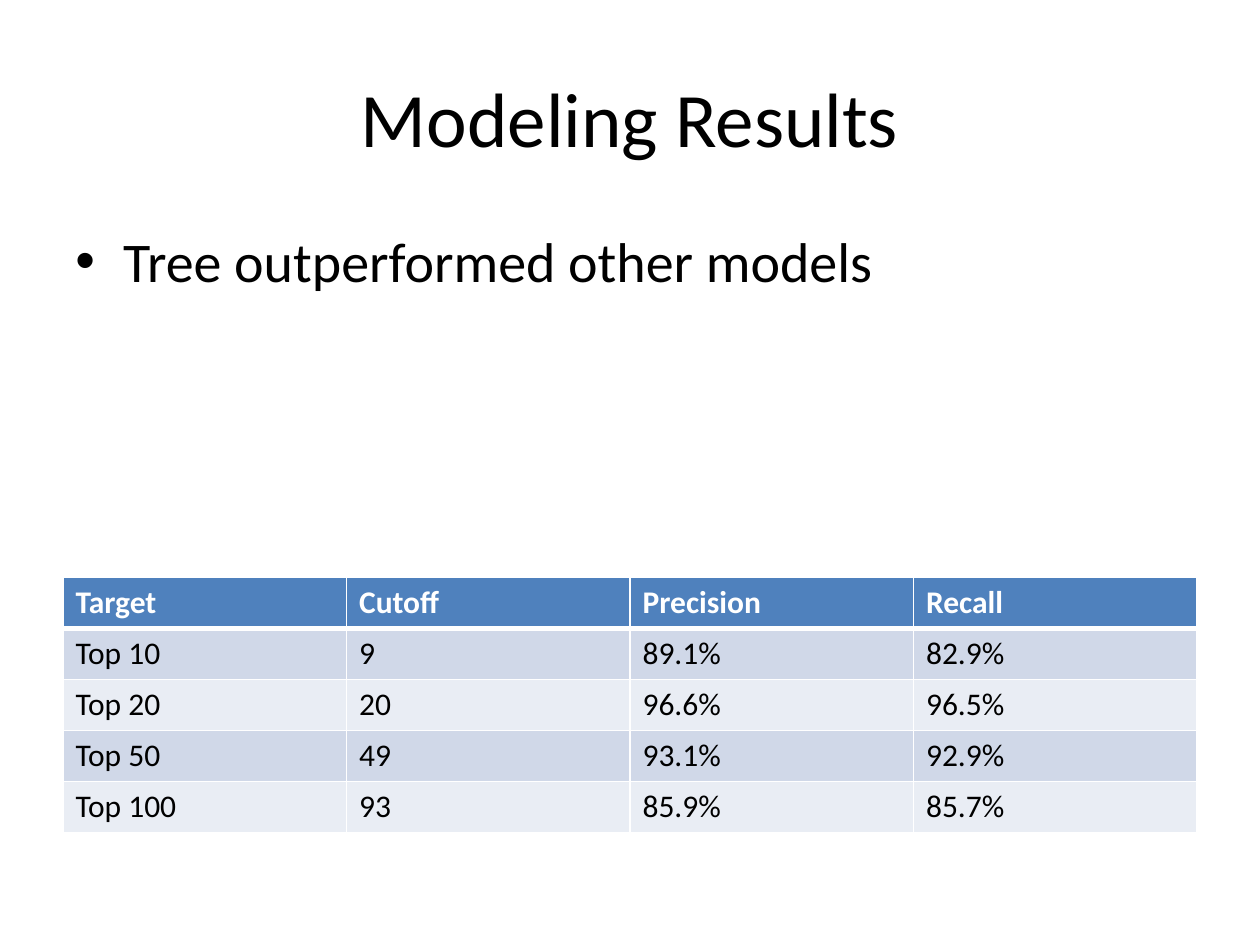
from lxml.etree import SubElement
from pptx import Presentation
from pptx.dml.color import RGBColor
from pptx.enum.text import MSO_ANCHOR, PP_ALIGN
from pptx.oxml.ns import qn
from pptx.util import Inches, Pt

TITLE = "Modeling Results"
BULLET = "Tree outperformed other models"
RESULTS = [
    ("Target", "Cutoff", "Precision", "Recall"),
    ("Top 10", "9", "89.1%", "82.9%"),
    ("Top 20", "20", "96.6%", "96.5%"),
    ("Top 50", "49", "93.1%", "92.9%"),
    ("Top 100", "93", "85.9%", "85.7%"),
]
COLORS = {
    "text": "000000",
    "white": "FFFFFF",
    "header": "4F81BD",
    "odd": "D0D8E8",
    "even": "E9EDF4",
}
WIDTH, HEIGHT = 10, 7.5
MARGIN = WIDTH * 0.05
CONTENT_WIDTH = WIDTH - 2 * MARGIN
TITLE_TOP, TITLE_HEIGHT = HEIGHT * 0.04, 1.25
BULLET_TOP, BULLET_HEIGHT = 1.75, 2.67
TABLE_TOP, TABLE_HEIGHT = 4.58, 2.03


def place(top, height):
    return [Inches(length) for length in (MARGIN, top, CONTENT_WIDTH, height)]


def write_text(frame, text, size, color="text", bold=False,
               align=PP_ALIGN.LEFT, anchor=MSO_ANCHOR.TOP):
    frame.word_wrap = True
    frame.vertical_anchor = anchor
    paragraph = frame.paragraphs[0]
    paragraph.alignment = align
    run = paragraph.add_run()
    run.text = text
    run.font.name = "Calibri"
    run.font.size = Pt(size)
    run.font.bold = bold
    run.font.color.rgb = RGBColor.from_string(COLORS[color])
    return paragraph


def add_bullet(paragraph, indent):
    properties = paragraph._p.get_or_add_pPr()
    properties.set("marL", str(Inches(indent)))
    properties.set("indent", str(-Inches(indent)))
    spacing = SubElement(properties, qn("a:spcBef"))
    SubElement(spacing, qn("a:spcPct"), val="20000")
    SubElement(properties, qn("a:buFont"), typeface="Arial")
    SubElement(properties, qn("a:buChar"), char="•")


def set_borders(cell, widths):
    properties = cell._tc.get_or_add_tcPr()
    for side, width in widths.items():
        line = SubElement(properties, qn(f"a:ln{side}"), w=str(Pt(width)))
        fill = SubElement(line, qn("a:solidFill"))
        SubElement(fill, qn("a:srgbClr"), val=COLORS["white"])


def add_results_table(slide):
    table = slide.shapes.add_table(
        len(RESULTS), len(RESULTS[0]), *place(TABLE_TOP, TABLE_HEIGHT)).table
    for row_index, values in enumerate(RESULTS):
        header = row_index == 0
        band = "header" if header else ("even", "odd")[row_index % 2]
        top = 3 if row_index == 1 else 1
        bottom = 3 if header else 1
        for column_index, value in enumerate(values):
            cell = table.cell(row_index, column_index)
            write_text(cell.text_frame, value, 18, bold=header,
                       color="white" if header else "text")
            set_borders(cell, {"L": 1, "R": 1, "T": top, "B": bottom})
            cell.fill.solid()
            cell.fill.fore_color.rgb = RGBColor.from_string(COLORS[band])


presentation = Presentation()
presentation.slide_width = Inches(WIDTH)
presentation.slide_height = Inches(HEIGHT)
slide = presentation.slides.add_slide(presentation.slide_layouts[5])

title = slide.shapes.title
title.left, title.top, title.width, title.height = place(TITLE_TOP, TITLE_HEIGHT)
write_text(title.text_frame, TITLE, 44, align=PP_ALIGN.CENTER,
           anchor=MSO_ANCHOR.MIDDLE)

add_results_table(slide)

bullet_box = slide.shapes.add_textbox(*place(BULLET_TOP, BULLET_HEIGHT))
add_bullet(write_text(bullet_box.text_frame, BULLET, 32), 0.38)

presentation.save("out.pptx")
